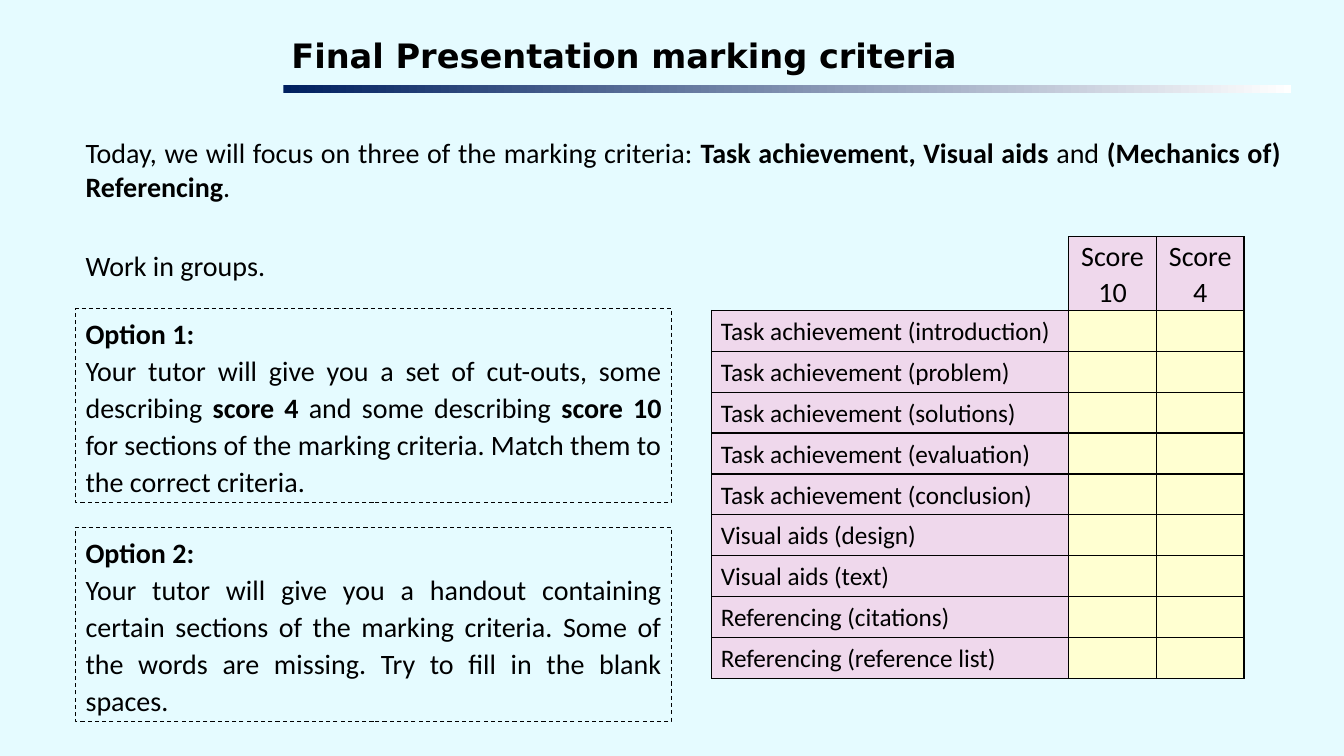
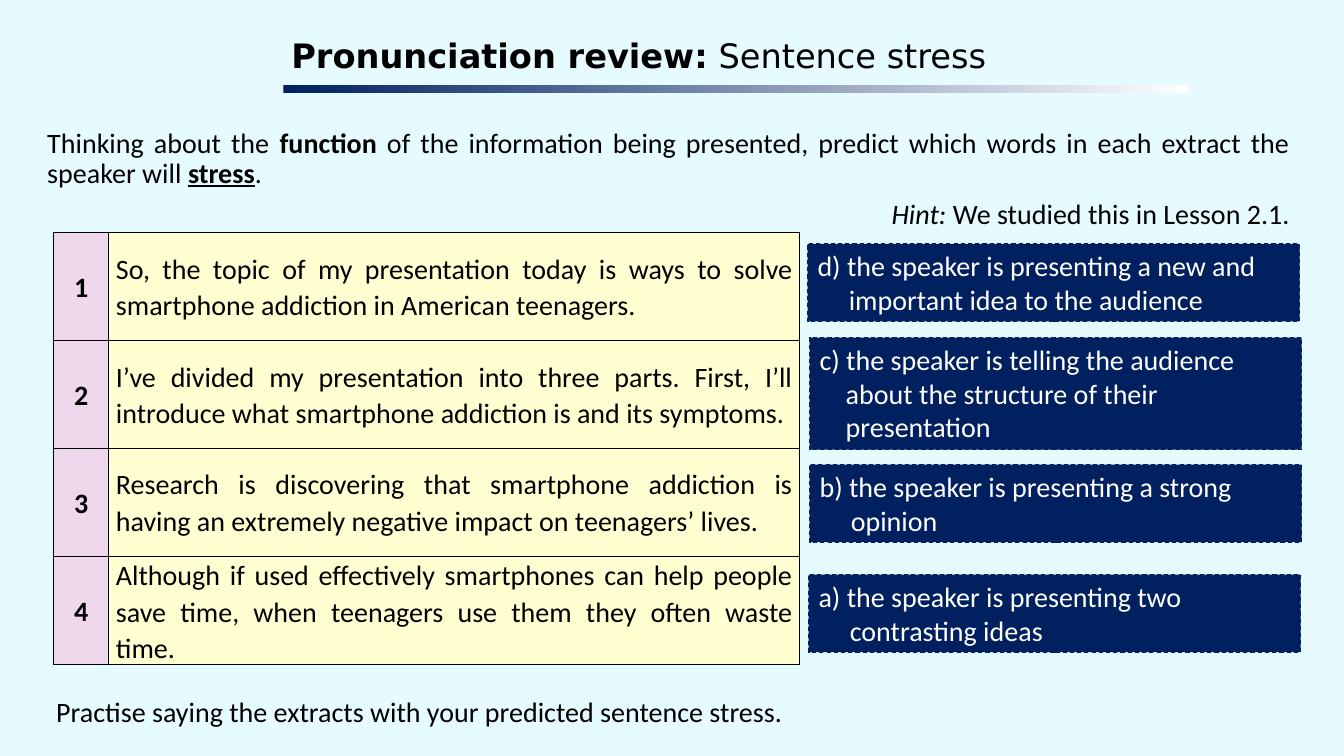
"""Build two lesson slides on marking criteria and sentence stress."""
from lxml import etree
from pptx import Presentation
from pptx import util as u
from pptx.dml import color
from pptx.enum import dml, shapes, text
from pptx.oxml import ns

HUES = {"sky": "E5FBFF", "navy": "002060", "white": "FFFFFF",
        "black": "000000", "pink": "EFD8EC", "cream": "FFFFD1"}
ALIGN = {"l": text.PP_ALIGN.LEFT, "c": text.PP_ALIGN.CENTER,
         "r": text.PP_ALIGN.RIGHT, "j": text.PP_ALIGN.JUSTIFY}
BODY, HEAD = "Calibri", "DejaVu Sans"

CRITERIA = {"Task achievement": ["introduction", "problem", "solutions",
                                 "evaluation", "conclusion"],
            "Visual aids": ["design", "text"],
            "Referencing": ["citations", "reference list"]}
OPTIONS = [
    [[("Option 1:", "b")],
     ["Your tutor will give you a set of cut-outs, some describing ",
      ("score 4", "b"), " and some describing ", ("score 10", "b"),
      " for sections of the marking criteria. Match them to the correct criteria."]],
    [[("Option 2:", "b")],
     ["Your tutor will give you a handout containing certain sections of the marking "
      "criteria. Some of the words are missing. Try to fill in the blank spaces."]],
]
EXTRACTS = [
    "So, the topic of my presentation today is ways to solve smartphone addiction "
    "in American teenagers.",
    "I’ve divided my presentation into three parts. First, I’ll introduce what "
    "smartphone addiction is and its symptoms.",
    "Research is discovering that smartphone addiction is having an extremely "
    "negative impact on teenagers’ lives.",
    "Although if used effectively smartphones can help people save time, when "
    "teenagers use them they often waste time.",
]
ANSWERS = [
    (8.01, 2.42, 0.77, 0.31, "d) the speaker is presenting a new and important idea to the audience"),
    (8.03, 3.35, 1.11, 0.26, "c) the speaker is telling the audience about the structure of their presentation"),
    (8.03, 4.61, 0.77, 0.31, "b) the speaker is presenting a strong opinion"),
    (8.02, 5.7, 0.77, 0.31, "a) the speaker is presenting two contrasting ideas"),
]


def rgb(hue):
    """Return the named colour."""
    return color.RGBColor.from_string(HUES[hue])


def inch(*sizes):
    """Turn numbers into lengths."""
    return [u.Inches(size) for size in sizes]


def put(frame, paras, size=20, font=BODY, hue="black", align="l",
        lead=None, gap=0, hang=0):
    """Write paragraphs, each a list of strings or (string, style) pairs."""
    frame.word_wrap = True
    for i, runs in enumerate(paras):
        para = frame.add_paragraph() if i else frame.paragraphs[0]
        para.alignment = ALIGN[align[min(i, len(align) - 1)]]
        if lead:
            para.line_spacing = lead
        if i and gap:
            para.space_before = u.Pt(gap)
        if hang:
            props = para._p.get_or_add_pPr()
            props.set("marL", str(u.Inches(hang)))
            props.set("indent", str(-u.Inches(hang)))
        for part in runs:
            words, style = (part, "") if isinstance(part, str) else part
            run = para.add_run()
            run.text = words
            face = run.font
            face.name, face.size = font, u.Pt(size)
            face.color.rgb = rgb(hue)
            face.bold = "b" in style
            face.italic = "i" in style
            face.underline = "u" in style


def note(slide, spot, paras, pad=None, **fmt):
    """Add a text box."""
    frame = slide.shapes.add_textbox(*inch(*spot)).text_frame
    if pad is not None:
        frame.margin_left = frame.margin_right = u.Inches(pad)
        frame.margin_top = frame.margin_bottom = u.Inches(pad)
    put(frame, paras, **fmt)


def block(slide, spot):
    """Add a plain rectangle."""
    shape = slide.shapes.add_shape(shapes.MSO_SHAPE.RECTANGLE, *inch(*spot))
    shape.shadow.inherit = False
    return shape


def card(slide, spot, paras, fill=None, line="black", **fmt):
    """Add a dashed box holding text."""
    shape = block(slide, spot)
    if fill:
        shape.fill.solid()
        shape.fill.fore_color.rgb = rgb(fill)
    else:
        shape.fill.background()
    shape.line.color.rgb = rgb(line)
    shape.line.width = u.Pt(0.75)
    shape.line.dash_style = dml.MSO_LINE.DASH
    shape.text_frame.vertical_anchor = text.MSO_ANCHOR.TOP
    put(shape.text_frame, paras, **fmt)


def page(deck, title, width):
    """Add a slide with its title and fading rule."""
    slide = deck.slides.add_slide(deck.slide_layouts[6])
    slide.background.fill.solid()
    slide.background.fill.fore_color.rgb = rgb("sky")
    note(slide, (2.85, 0.31, width - 0.04, 0.53), [title], pad=0.04,
         size=24, font=HEAD)
    rule = block(slide, (2.81, 0.84, width, 0.08))
    rule.line.fill.background()
    rule.fill.gradient()
    rule.fill.gradient_angle = 0
    for stop, hue, place in zip(rule.fill.gradient_stops, ("navy", "white"), (0, 1)):
        stop.color.rgb = rgb(hue)
        stop.position = place
    return slide


def edge(cell, sides="LRTB"):
    """Draw black borders on the given sides and clear the others."""
    props = cell._tc.get_or_add_tcPr()
    for i, side in enumerate("LRTB"):
        line = etree.Element(ns.qn("a:ln" + side), w=str(u.Pt(1)))
        if side in sides:
            fill = etree.SubElement(line, ns.qn("a:solidFill"))
            etree.SubElement(fill, ns.qn("a:srgbClr"), val=HUES["black"])
        else:
            etree.SubElement(line, ns.qn("a:noFill"))
        props.insert(i, line)


def grid(slide, left, top, cols, rows):
    """Add an unstyled table with the given column widths and row heights."""
    frame = slide.shapes.add_table(
        len(rows), len(cols), *inch(left, top, sum(cols), sum(rows)))
    table = frame.table
    table.first_row = table.horz_banding = False
    for col, width in zip(table.columns, cols):
        col.width = u.Inches(width)
    for row, height in zip(table.rows, rows):
        row.height = u.Inches(height)
    return table


def fill(cell, hue=None, words=None, pad=0.03, sides="LRTB", **fmt):
    """Colour, border and write one cell."""
    if hue:
        cell.fill.solid()
        cell.fill.fore_color.rgb = rgb(hue)
    else:
        cell.fill.background()
    cell.margin_left = cell.margin_right = u.Inches(pad)
    cell.margin_top = cell.margin_bottom = 0
    cell.vertical_anchor = text.MSO_ANCHOR.MIDDLE
    edge(cell, sides)
    if words:
        put(cell.text_frame, [[words]], lead=1.07, **fmt)


def marks(deck):
    """Build the marking criteria slide."""
    slide = page(deck, [("Final Presentation marking criteria", "b")], 10)
    note(slide, (0.75, 1.3, 12.05, 1.47), [
        ["Today, we will focus on three of the marking criteria: ",
         ("Task achievement, Visual aids", "b"), " and ",
         ("(Mechanics of) Referencing", "b"), "."],
        ["Work in groups."]], align="j", gap=32)
    names = [f"{area} ({part})" for area, parts in CRITERIA.items() for part in parts]
    count = len(names)
    table = grid(slide, 7.06, 2.35, [3.54, 0.87, 0.87],
                 [0.73] + [3.65 / count] * count)
    fill(table.cell(0, 0), sides="RB")
    for col, score in enumerate(("Score 10", "Score 4"), 1):
        fill(table.cell(0, col), "pink", score, align="c")
    for row, name in enumerate(names, 1):
        fill(table.cell(row, 0), "pink", name, pad=0.09, size=18)
        for col in (1, 2):
            fill(table.cell(row, col), "cream")
    for i, paras in enumerate(OPTIONS):
        card(slide, (0.75, 3.06 + 2.17 * i, 5.91, 1.93), paras, align="j", lead=1.1)


def stress(deck):
    """Build the sentence stress slide."""
    slide = page(deck, [("Pronunciation review:", "b"), " Sentence stress"], 8.98)
    note(slide, (0.37, 1.23, 12.52, 1.1), [
        ["Thinking about the ", ("function", "b"),
         " of the information being presented, predict which words in each "
         "extract the speaker will ", ("stress", "bu"), "."],
        [("Hint: ", "i"), "We studied this in Lesson 2.1."]],
         align="jr", lead=0.9, gap=7.5)
    table = grid(slide, 0.53, 2.31, [0.55, 6.85], [1.07] * len(EXTRACTS))
    for row, words in enumerate(EXTRACTS):
        fill(table.cell(row, 0), "pink", (str(row + 1), "b"), pad=0.07, align="c")
        fill(table.cell(row, 1), "cream", words, pad=0.07, align="j")
    for left, top, height, hang, words in ANSWERS:
        card(slide, (left, top, 4.88, height), [[words]], fill="navy",
             line="navy", hue="white", hang=hang)
    note(slide, (0.46, 6.84, 7.54, 0.44),
         [["Practise saying the extracts with your predicted sentence stress."]])


def main():
    """Build and save the deck."""
    deck = Presentation()
    deck.slide_width, deck.slide_height = inch(13.33, 7.5)
    marks(deck)
    stress(deck)
    deck.save("out.pptx")


if __name__ == "__main__":
    main()
